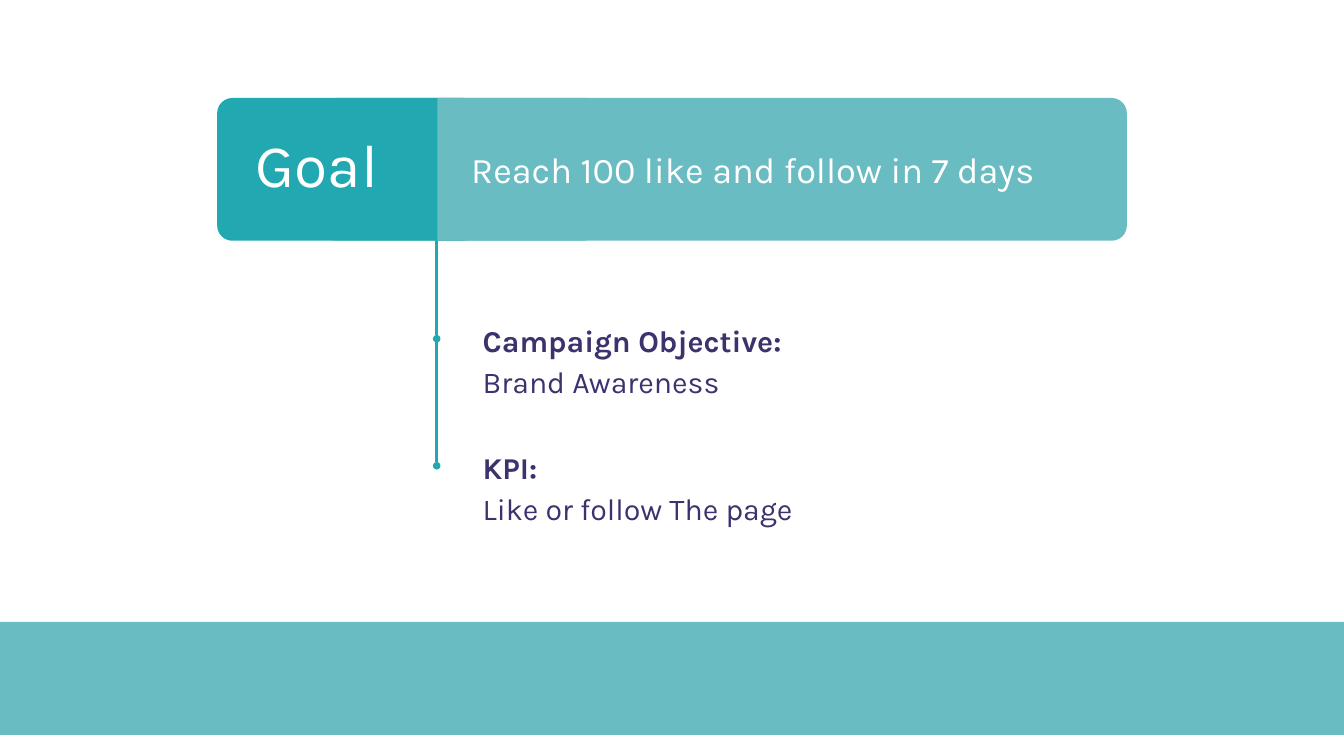
from dataclasses import dataclass

from lxml import etree
from pptx import Presentation
from pptx import util as u
from pptx.dml.color import RGBColor
from pptx.enum import shapes, text
from pptx.oxml import ns

FONT = "Karla"
TEAL, LIGHT_TEAL, PURPLE, WHITE = "21A8B0", "69BCC1", "3B336E", "FFFFFF"
PAGE_WIDTH, PAGE_HEIGHT = 22.22, 12.15
BAND_TOP = 10.28
BAR_TOP, BAR_HEIGHT = 1.62, 2.36
TIMELINE_X, TIMELINE_TOP, STEP = 7.22, 3.5, 2.1


@dataclass
class Panel:
    left: float
    top: float
    width: float
    height: float
    colour: str
    rounding: float = 0


@dataclass
class Detail:
    heading: str
    value: str


PANELS = [
    Panel(5.31, BAR_TOP, 13.32, BAR_HEIGHT, LIGHT_TEAL, 0.106),
    Panel(3.59, BAR_TOP, 4.31, BAR_HEIGHT, TEAL, 0.106),
    Panel(7.23, BAR_TOP, 2.46, BAR_HEIGHT, LIGHT_TEAL),
]
DETAILS = [
    Detail("Campaign Objective:", "Brand Awareness"),
    Detail("KPI:", "Like or follow The page"),
]


def rgb(colour: str) -> RGBColor:
    return RGBColor.from_string(colour)


def add_panel(page, panel: Panel) -> None:
    kind = shapes.MSO_SHAPE.ROUNDED_RECTANGLE if panel.rounding else shapes.MSO_SHAPE.RECTANGLE
    box = page.shapes.add_shape(
        kind, *map(u.Inches, (panel.left, panel.top, panel.width, panel.height)))
    if panel.rounding:
        box.adjustments[0] = panel.rounding
    box.shadow.inherit = False
    box.fill.solid()
    box.fill.fore_color.rgb = rgb(panel.colour)
    box.line.fill.background()


def add_timeline_step(page, top: float) -> None:
    """Draw one vertical stretch that ends in a dot."""
    line = page.shapes.add_connector(
        shapes.MSO_CONNECTOR.STRAIGHT,
        *map(u.Inches, (TIMELINE_X, top, TIMELINE_X, top + STEP)))
    line.line.color.rgb = rgb(TEAL)
    line.line.width = u.Pt(3)
    properties = line.element.spPr
    etree.SubElement(properties.find(ns.qn("a:ln")), ns.qn("a:tailEnd"), type="oval")
    etree.SubElement(properties, ns.qn("a:effectLst"))


def place(box, left: float, top: float, width: float, height: float, inset: float) -> None:
    """Position a text holder and set its frame."""
    box.left, box.top, box.width, box.height = map(u.Inches, (left, top, width, height))
    frame = box.text_frame
    frame.word_wrap = True
    frame.auto_size = text.MSO_AUTO_SIZE.NONE
    frame.vertical_anchor = text.MSO_ANCHOR.MIDDLE
    frame.margin_left = frame.margin_right = u.Inches(inset)
    frame.margin_top = frame.margin_bottom = u.Inches(inset)


def write(para, words: str, *, size: float, colour: str, bold: bool = False,
          spacing: float = 1.0) -> None:
    para.alignment = text.PP_ALIGN.LEFT
    para.line_spacing = spacing
    span = para.add_run()
    span.text = words
    span.font.name = FONT
    span.font.size = u.Pt(size)
    span.font.bold = bold
    span.font.color.rgb = rgb(colour)


def add_detail(page, detail: Detail, top: float) -> None:
    box = page.shapes.add_textbox(0, 0, 0, 0)
    place(box, 7.76, top, 6.92, 1.5, 0.22)
    style = {"size": 36, "colour": PURPLE, "spacing": 1.15}
    write(box.text_frame.paragraphs[0], detail.heading, bold=True, **style)
    write(box.text_frame.add_paragraph(), detail.value, **style)


def main() -> None:
    deck = Presentation()
    deck.slide_width, deck.slide_height = u.Inches(PAGE_WIDTH), u.Inches(PAGE_HEIGHT)
    page = deck.slides.add_slide(deck.slide_layouts.get_by_name("Title Only"))

    add_panel(page, Panel(0, BAND_TOP, PAGE_WIDTH, PAGE_HEIGHT - BAND_TOP, LIGHT_TEAL))
    for index, detail in enumerate(DETAILS):
        add_timeline_step(page, TIMELINE_TOP + index * STEP)
        add_detail(page, detail, 5.17 + index * STEP)
    for panel in PANELS:
        add_panel(page, panel)

    target = page.shapes.add_textbox(0, 0, 0, 0)
    place(target, 7.57, 1.71, 10.87, 2.16, 0.22)
    write(target.text_frame.paragraphs[0], "Reach 100 like and follow in 7 days",
          size=43, colour=WHITE)

    title = page.shapes.title
    place(title, 4.13, 1.64, 2.62, 2.13, 0.1)
    write(title.text_frame.paragraphs[0], "Goal", size=72, colour=WHITE)
    title.element.getparent().append(title.element)  # bring in front of the panels

    deck.save("out.pptx")


if __name__ == "__main__":
    main()
